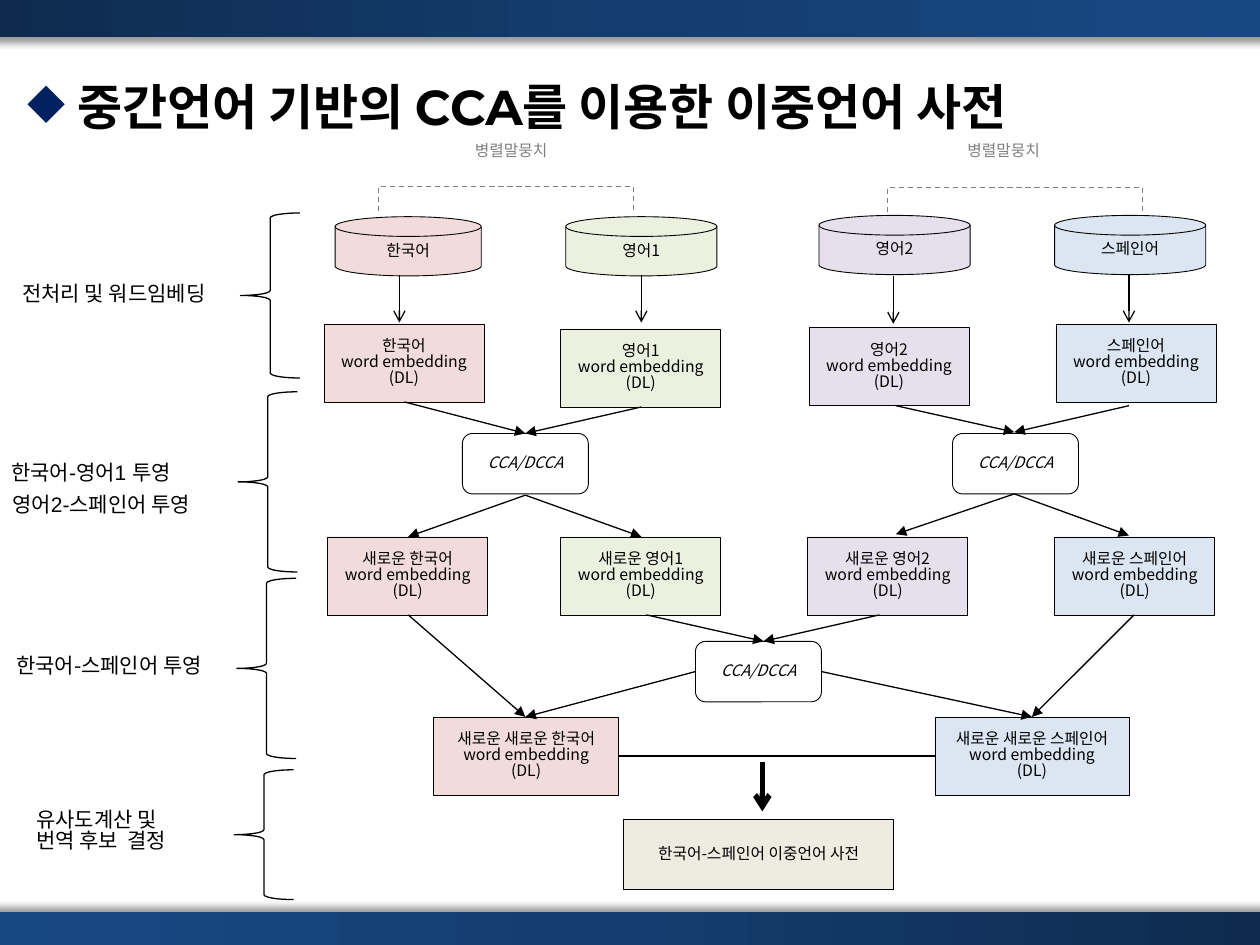
"""Build a slide on a bilingual lexicon made with CCA through a pivot language."""
from copy import deepcopy
from lxml.etree import SubElement
from pptx import Presentation
from pptx.dml.color import RGBColor as RGB
from pptx.enum.dml import MSO_LINE as DASH
from pptx.enum.shapes import MSO_CONNECTOR as LINK, MSO_SHAPE as KIND
from pptx.enum.text import MSO_ANCHOR as ANCHOR, PP_ALIGN as ALIGN
from pptx.oxml.ns import qn
from pptx.util import Inches, Pt

HUE = {"red": "F2DCDB", "green": "EBF1DE", "plum": "E6E0EC", "blue": "DCE6F2",
       "sand": "EEECE1", "white": "FFFFFF", "black": "000000", "gray": "808080",
       "dark": "0E2B4E", "mid": "143D6F", "light": "184884", "navy": "002060"}
HUE = {name: RGB.from_string(code) for name, code in HUE.items()}
NOTO = "Noto Sans CJK KR"

deck = Presentation()
deck.slide_width, deck.slide_height = Inches(10), Inches(7.5)
slide = deck.slides.add_slide(deck.slide_layouts[6])
pool = slide.shapes
unit = deck.slide_width / 10


def grid(*cells):
    return [round(cell * unit) for cell in cells]


def write(shape, text, size, font=NOTO, hue="black", align=None, bold=None, slant=None):
    frame = shape.text_frame
    frame.text = text
    for para in frame.paragraphs:
        para.alignment = align
        para.line_spacing = 0.85
        for run in para.runs:
            face = run.font
            face.size, face.name, face.bold, face.italic = Pt(size), font, bold, slant
            face.color.rgb = HUE[hue]
            SubElement(run._r.rPr, qn("a:ea"), typeface=NOTO)
    return frame


for top, tones, angle in ((0, ("dark", "mid", "light"), 90), (7.24, ("light", "mid", "dark"), 270)):
    bar = pool.add_shape(KIND.RECTANGLE, *grid(-0.07, top, 10.12, 0.29))
    bar.line.fill.background()
    bar.fill.gradient()
    bar.fill.gradient_angle = 0
    first = bar.fill.gradient_stops[0]._gs
    first.addnext(deepcopy(first))
    for stop, tone, place in zip(bar.fill.gradient_stops, tones, (0, 0.5, 1)):
        stop.color.rgb, stop.position = HUE[tone], place
    bar.shadow.inherit = False
    shade = SubElement(bar._element.spPr.find(qn("a:effectLst")), qn("a:outerShdw"),
                       blurRad=str(Pt(4)), dist=str(Pt(3)), dir=str(angle * 60000),
                       algn="t", rotWithShape="0")
    tint = SubElement(shade, qn("a:srgbClr"), val=str(HUE["black"]))
    SubElement(tint, qn("a:alpha"), val="40000")

title = pool.add_textbox(*grid(0.12, 0.44, 9.76, 0.87))
frame = write(title, " 중간언어 기반의 CCA를 이용한 이중언어 사전", 28, "Montserrat", align=ALIGN.JUSTIFY, bold=True)
frame.word_wrap, frame.vertical_anchor = True, ANCHOR.MIDDLE
props = frame.paragraphs[0]._p.get_or_add_pPr()
props.set("marL", str(Inches(0.31)))
props.set("indent", str(-Inches(0.31)))
SubElement(SubElement(props, qn("a:buClr")), qn("a:srgbClr"), val=str(HUE["navy"]))
SubElement(props, qn("a:buChar"), char="◆")

tail = "\nword embedding\n(DL)"
boxes = [(KIND.RECTANGLE, 3.44, 5.69, 1.47, 0.62, "red", 0.25, "새로운 새로운 한국어" + tail),
         (KIND.RECTANGLE, 7.42, 5.69, 1.54, 0.62, "blue", 0.25, "새로운 새로운 스페인어" + tail),
         (KIND.RECTANGLE, 4.95, 6.5, 2.14, 0.56, "sand", 0.25, "한국어-스페인어 이중언어 사전")]
langs = (("한국어", "red", (2.66, 1.72, 1.16), (2.57, 2.57), 2.6),
         ("영어1", "green", (4.49, 1.72, 1.2), (4.45, 2.61), 4.45),
         ("영어2", "plum", (6.5, 1.71, 1.2), (6.42, 2.6), 6.41),
         ("스페인어", "blue", (8.37, 1.71, 1.2), (8.38, 2.57), 8.37))
for name, hue, disk, card, left in langs:
    boxes += [(KIND.FLOWCHART_MAGNETIC_DISK, *disk, 0.47, hue, 0.5, name),
              (KIND.RECTANGLE, *card, 1.27, 0.62, hue, 0.25, name + tail),
              (KIND.RECTANGLE, left, 4.26, 1.27, 0.62, hue, 0.25, "새로운 " + name + tail)]
for left, top in ((3.67, 3.44), (7.56, 3.44), (5.52, 5.09)):
    boxes.append((KIND.ROUNDED_RECTANGLE, left, top, 1, 0.48, "white", 0.5, "CCA/DCCA"))

for kind, left, top, wide, high, hue, edge, text in boxes:
    box = pool.add_shape(kind, *grid(left, top, wide, high))
    box.shadow.inherit = False
    box.fill.solid()
    box.fill.fore_color.rgb = HUE[hue]
    box.line.color.rgb, box.line.width = HUE["black"], Pt(edge)
    frame = write(box, text, 9, align=ALIGN.CENTER, slant=hue == "white")
    frame.margin_left = frame.margin_right = 0
    frame.vertical_anchor = ANCHOR.MIDDLE

links = [(x, y, x, y + 0.38, 0.75, "arrow")
         for x, y in ((3.17, 2.18), (5.09, 2.18), (7.09, 2.19), (8.96, 2.18))]
links += [(*ends, 0.75, "triangle") for ends in (
    (3.21, 3.19, 4.17, 3.44), (5.09, 3.23, 4.17, 3.44),
    (4.17, 3.93, 3.24, 4.26), (4.17, 3.93, 5.09, 4.26),
    (7.11, 3.22, 8.05, 3.43), (8.96, 3.22, 8.05, 3.43),
    (8.05, 3.92, 7.11, 4.24), (8.05, 3.92, 8.96, 4.25),
    (5.13, 4.88, 6.06, 5.09), (6.98, 4.88, 6.06, 5.09),
    (5.52, 5.33, 4.17, 5.69), (6.52, 5.33, 8.19, 5.69),
    (3.24, 4.88, 4.17, 5.69), (9, 4.88, 8.19, 5.69))]
links += [(4.91, 6, 7.42, 6, 0.75, None), (6.05, 6.05, 6.05, 6.44, 3, "arrow")]
for *ends, thick, tip in links:
    link = pool.add_connector(LINK.STRAIGHT, *grid(*ends))
    link.line.color.rgb, link.line.width = HUE["black"], Pt(thick)
    if tip:
        SubElement(link.line._get_or_add_ln(), qn("a:tailEnd"), type=tip)
    SubElement(link._element.spPr, qn("a:effectLst"))

for mid, top, left in ((4.01, 0.66, 3.67), (8.05, 0.67, 7.58)):
    bend = pool.add_connector(LINK.ELBOW, *grid(mid + 0.01, top + 2.02, mid, top))
    bend.line.color.rgb, bend.line.width = HUE["gray"], Pt(0.75)
    bend.line.dash_style = DASH.DASH
    shape = bend._element.spPr
    shape.find(qn("a:xfrm")).set("rot", "5400000")
    SubElement(shape.find(qn("a:prstGeom")).find(qn("a:avLst")), qn("a:gd"),
               name="adj1", fmla="val 2000000")
    SubElement(shape, qn("a:effectLst"))
    note = pool.add_textbox(*grid(left, 1.09, 0.83, 0.25))
    write(note, "병렬말뭉치", 9, hue="gray").word_wrap = False

for left, top, high in ((1.91, 1.69, 1.31), (1.89, 3.11, 1.43), (1.88, 4.59, 1.43), (1.86, 6.11, 1.03)):
    brace = pool.add_shape(KIND.LEFT_BRACE, *grid(left, top, 0.47, high))
    brace.shadow.inherit = False
    brace.fill.background()
    brace.line.color.rgb, brace.line.width = HUE["black"], Pt(0.75)

for left, top, wide, high, font, text in (
        (0.08, 2.21, 2.13, 0.5, "Arial", "전처리 및 워드임베딩"),
        (-0.01, 3.63, 2.34, 0.5, "Arial", "한국어-영어1 투영"),
        (0, 3.88, 2.34, 0.5, "Arial", "영어2-스페인어 투영"),
        (0.03, 5.16, 1.9, 0.3, NOTO, "한국어-스페인어 투영"),
        (0.19, 6.38, 1.39, 0.5, NOTO, "유사도계산 및\n번역 후보  결정")):
    label = pool.add_textbox(*grid(left, top, wide, high))
    write(label, text, 12, font).word_wrap = True

deck.save("out.pptx")
